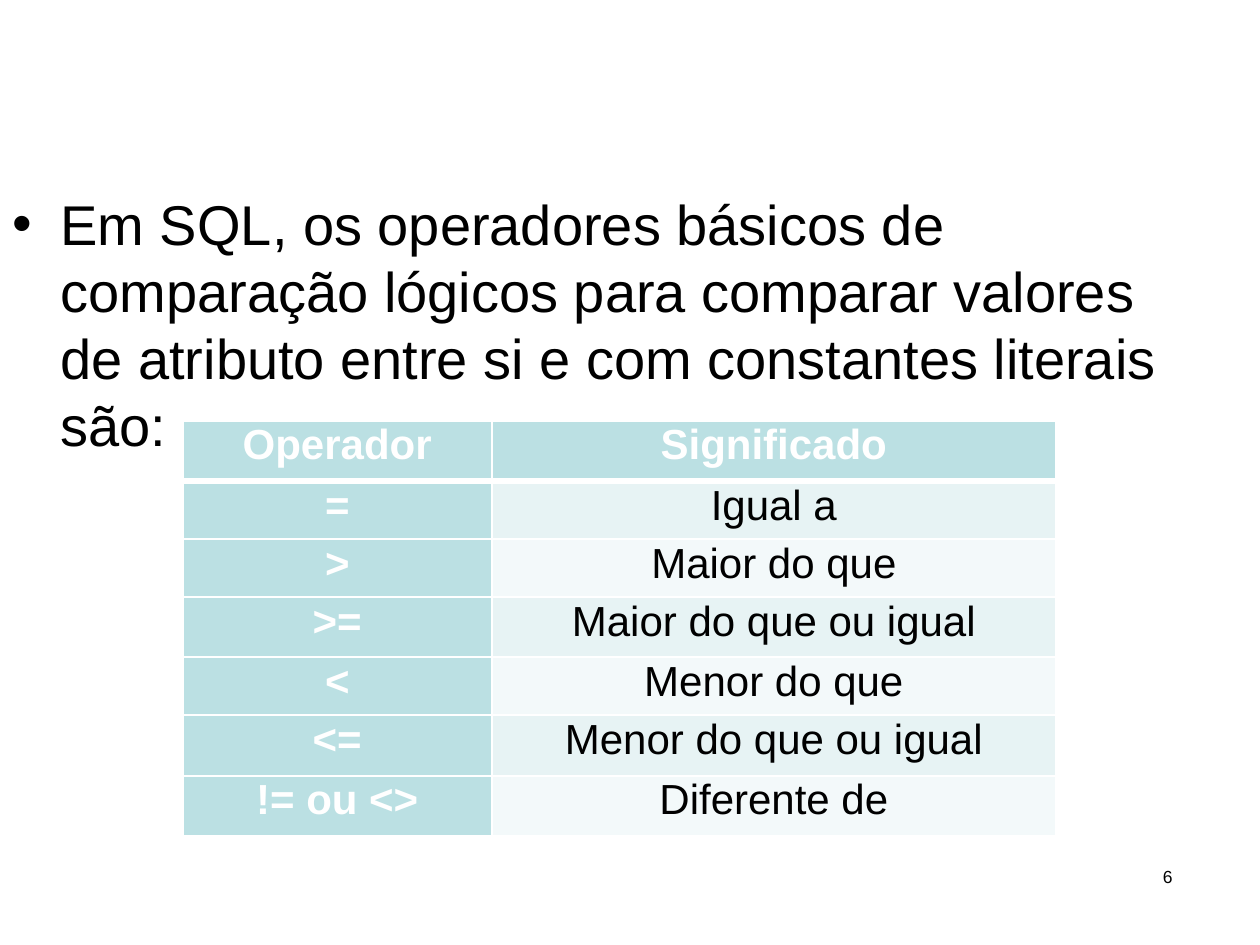
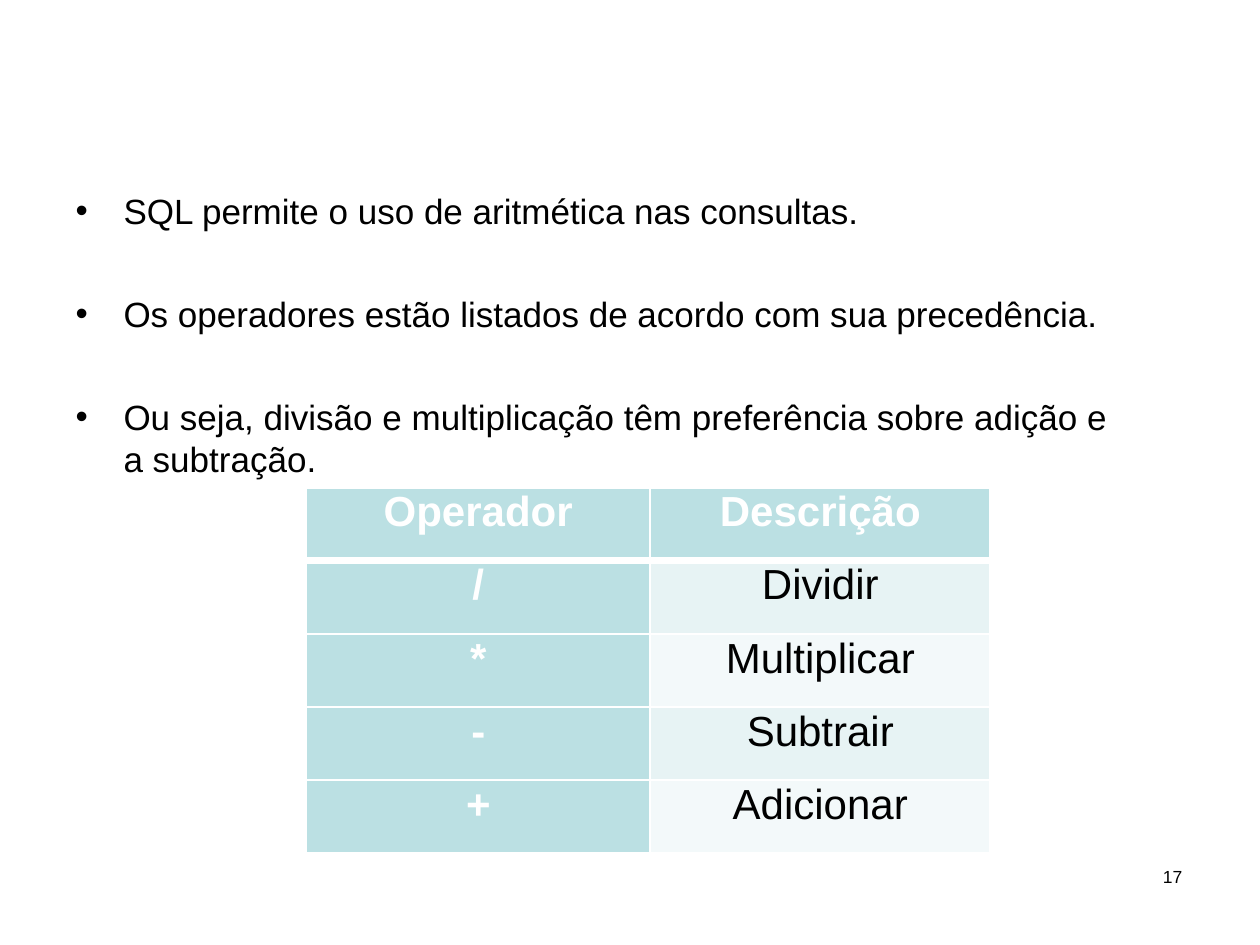
"""Build two slides on SQL operators, each with a bullet list and a table."""
from dataclasses import dataclass

from lxml import etree
from pptx import Presentation
from pptx import util as u
from pptx.dml.color import RGBColor
from pptx.enum import text as t
from pptx.oxml.ns import qn


@dataclass(frozen=True)
class Theme:
    """Colours, font and type sizes shared by the slides."""
    font: str = "Arial"
    ink: str = "000000"
    white: str = "FFFFFF"
    head: str = "BBE0E3"
    bands: tuple[str, str] = ("E7F3F4", "F3F9FA")
    cell: int = 24
    foot: int = 10
    thin: float = 1.5
    thick: float = 4.25


@dataclass(frozen=True)
class Box:
    """Place and size as shares of the slide."""
    x: float
    y: float
    w: float
    h: float

    def emu(self) -> tuple[int, ...]:
        """Return left, top, width and height."""
        return (int(WIDE * self.x), int(HIGH * self.y),
                int(WIDE * self.w), int(HIGH * self.h))


@dataclass(frozen=True)
class Points:
    """Bullet list with its type size and gap in points."""
    box: Box
    size: int
    gap: float
    items: tuple[str, ...]


@dataclass(frozen=True)
class Grid:
    """Two-column table: first column's share, row heights, cell texts."""
    box: Box
    split: float
    rows: tuple[float, ...]
    cells: tuple[tuple[str, str], ...]


@dataclass(frozen=True)
class Page:
    """One slide's number, list and table."""
    number: int
    points: Points
    grid: Grid


WIDE, HIGH = u.Inches(10), u.Inches(7.5)
THEME = Theme()
FOOT = Box(0.92, 0.917, 0.026, 0.024)
PAGES = (
    Page(6,
         Points(Box(0.009, 0.199, 0.953, 0.217), 32, 0, (
             "Em SQL, os operadores básicos de comparação lógicos para comparar "
             "valores de atributo entre si e com constantes literais\vsão:",)),
         Grid(Box(0.145, 0.445, 0.693, 0.443), 0.354,
              (0.48, 0.46, 0.46, 0.48, 0.46, 0.48, 0.48), (
                  ("Operador", "Significado"),
                  ("=", "Igual a"),
                  (">", "Maior do que"),
                  (">=", "Maior do que ou igual"),
                  ("<", "Menor do que"),
                  ("<=", "Menor do que ou igual"),
                  ("!= ou <>", "Diferente de")))),
    Page(17,
         Points(Box(0.059, 0.199, 0.843, 0.307), 20, 35, (
             "SQL permite o uso de aritmética nas consultas.",
             "Os operadores estão listados de acordo com sua precedência.",
             "Ou seja, divisão e multiplicação têm preferência sobre adição e a "
             "subtração.")),
         Grid(Box(0.243, 0.516, 0.543, 0.384), 0.503, (0.58,) * 5, (
             ("Operador", "Descrição"),
             ("/", "Dividir"),
             ("*", "Multiplicar"),
             ("-", "Subtrair"),
             ("+", "Adicionar")))),
)


def style(para, size: float, color: str, bold: bool = False) -> None:
    """Set a paragraph's font."""
    font = para.font
    font.name, font.size, font.bold = THEME.font, u.Pt(size), bold
    font.color.rgb = RGBColor.from_string(color)


def frame(shape):
    """Clear a shape's insets and return its wrapping text frame."""
    body = shape.text_frame
    body.margin_left = body.margin_right = body.margin_bottom = 0
    body.margin_top = u.Inches(0.01)
    body.word_wrap, body.auto_size = True, t.MSO_AUTO_SIZE.NONE
    body.vertical_anchor = t.MSO_ANCHOR.TOP
    return body


def bullet(para) -> None:
    """Give a paragraph a hanging round bullet."""
    props = para._p.get_or_add_pPr()
    props.set("marL", str(u.Inches(0.39)))
    props.set("indent", str(u.Inches(-0.38)))
    etree.SubElement(props, qn("a:buFont"), typeface=THEME.font)
    etree.SubElement(props, qn("a:buChar"), char="•")


def add_list(slide, points: Points) -> None:
    """Move the body placeholder and fill it with bullets."""
    shape = slide.placeholders[1]
    shape.left, shape.top, shape.width, shape.height = points.box.emu()
    body = frame(shape)
    for i, item in enumerate(points.items):
        para = body.add_paragraph() if i else body.paragraphs[0]
        para.text = item
        para.line_spacing = 1.0
        para.space_before = u.Pt(points.gap if i else 0)
        bullet(para)
        style(para, points.size, THEME.ink)


def edge(cell, side: str, width: float) -> None:
    """Draw one white border of a cell."""
    line = etree.SubElement(cell._tc.get_or_add_tcPr(), qn(f"a:ln{side}"),
                            w=str(u.Pt(width)))
    fill = etree.SubElement(line, qn("a:solidFill"))
    etree.SubElement(fill, qn("a:srgbClr"), val=THEME.white)


def add_cell(cell, word: str, row: int, col: int) -> None:
    """Fill one cell by its place in the table."""
    key = row == 0 or col == 0
    for side in "LRTB":
        rule = (row, side) in ((0, "B"), (1, "T"))
        edge(cell, side, THEME.thick if rule else THEME.thin)
    cell.fill.solid()
    cell.fill.fore_color.rgb = RGBColor.from_string(
        THEME.head if key else THEME.bands[(row - 1) % 2])
    cell.margin_left = cell.margin_right = cell.margin_bottom = 0
    cell.margin_top = u.Inches(0.01)
    para = cell.text_frame.paragraphs[0]
    para.text, para.alignment = word, t.PP_ALIGN.CENTER
    style(para, THEME.cell, THEME.white if key else THEME.ink, key)


def add_grid(slide, grid: Grid) -> None:
    """Draw the operator table."""
    box = grid.box.emu()
    table = slide.shapes.add_table(len(grid.rows), 2, *box).table
    for col, share in enumerate((grid.split, 1 - grid.split)):
        table.columns[col].width = int(box[2] * share)
    for row, (high, words) in enumerate(zip(grid.rows, grid.cells)):
        table.rows[row].height = u.Inches(high)
        for col, word in enumerate(words):
            add_cell(table.cell(row, col), word, row, col)


def add_foot(slide, number: int) -> None:
    """Write the slide number."""
    body = frame(slide.shapes.add_textbox(*FOOT.emu()))
    body.margin_top, body.margin_left = 0, u.Inches(0.03)
    body.word_wrap = False
    para = body.paragraphs[0]
    para.text, para.line_spacing = str(number), u.Pt(11.7)
    style(para, THEME.foot, THEME.ink)


def main() -> None:
    """Build and save the slides."""
    deck = Presentation()
    deck.slide_width, deck.slide_height = WIDE, HIGH
    for page in PAGES:
        slide = deck.slides.add_slide(deck.slide_layouts[1])
        title = slide.shapes.title.element
        title.getparent().remove(title)
        add_foot(slide, page.number)
        add_list(slide, page.points)
        add_grid(slide, page.grid)
    deck.save("out.pptx")


if __name__ == "__main__":
    main()
